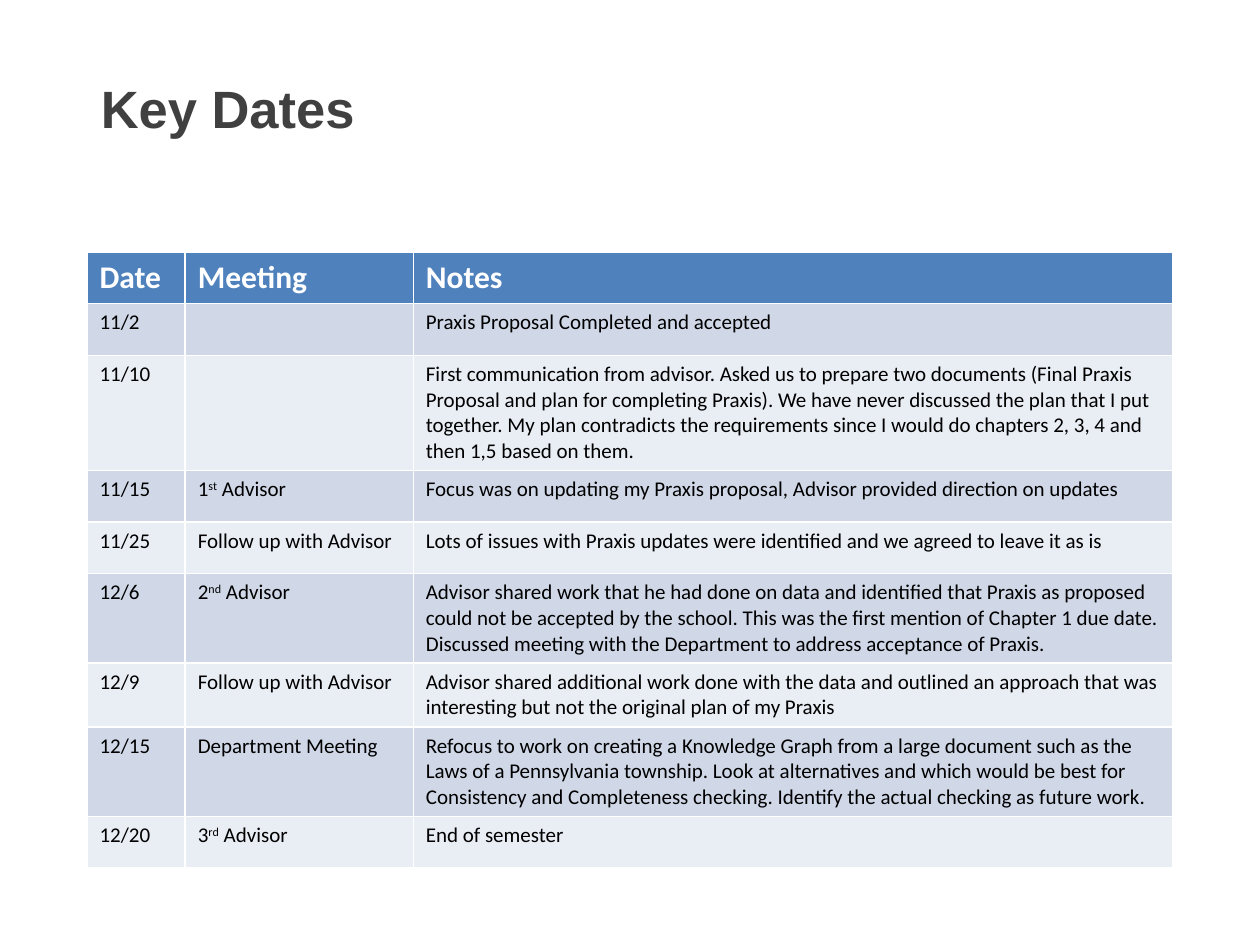
from pptx import Presentation
from pptx.dml.color import RGBColor
from pptx.enum.text import MSO_ANCHOR, PP_ALIGN
from pptx.util import Inches, Pt

# Content: a part between carets is raised
TITLE = "Key Dates"
HEADINGS = ("Date", "Meeting", "Notes")
MEETINGS = [
    ("11/2", "", "Praxis Proposal Completed and accepted"),
    ("11/10", "",
     "First communication from advisor. Asked us to prepare two documents "
     "(Final Praxis Proposal and plan for completing Praxis). We have never "
     "discussed the plan that I put together. My plan contradicts the "
     "requirements since I would do chapters 2, 3, 4 and then 1,5 based on them."),
    ("11/15", "1^st^ Advisor",
     "Focus was on updating my Praxis proposal, Advisor provided direction on updates"),
    ("11/25", "Follow up with Advisor",
     "Lots of issues with Praxis updates were identified and we agreed to leave it as is"),
    ("12/6", "2^nd^ Advisor",
     "Advisor shared work that he had done on data and identified that Praxis as "
     "proposed could not be accepted by the school. This was the first mention of "
     "Chapter 1 due date. Discussed meeting with the Department to address "
     "acceptance of Praxis."),
    ("12/9", "Follow up with Advisor",
     "Advisor shared additional work done with the data and outlined an approach "
     "that was interesting but not the original plan of my Praxis"),
    ("12/15", "Department Meeting",
     "Refocus to work on creating a Knowledge Graph from a large document such as "
     "the Laws of a Pennsylvania township. Look at alternatives and which would be "
     "best for Consistency and Completeness checking. Identify the actual checking "
     "as future work."),
    ("12/20", "3^rd^ Advisor", "End of semester"),
]
COLUMN_WIDTHS = (0.78, 1.81, 6.03)
ROW_HEIGHT = 0.41
HEADER_FILL = "4F81BD"
BAND_FILLS = ("D0D8E8", "E9EDF4")


def color(value):
    return RGBColor.from_string(value)


def set_font(font, name, size, value, bold):
    font.name, font.size, font.bold = name, Pt(size), bold
    font.color.rgb = color(value)


def fill_cell(cell, text, fill, size, value, bold):
    cell.fill.solid()
    cell.fill.fore_color.rgb = color(fill)
    para = cell.text_frame.paragraphs[0]
    for index, part in enumerate(text.split("^") if text else []):
        span = para.add_run()
        span.text = part
        if index % 2:
            span.font._element.set("baseline", "30000")
    set_font(para.font, "Calibri", size, value, bold)


deck = Presentation()
deck.slide_width, deck.slide_height = Inches(10), Inches(7.5)
page = deck.slides.add_slide(deck.slide_layouts[5])

# Title
title = page.shapes.title
title.left, title.top = Inches(0.7), Inches(0.55)
title.width, title.height = Inches(8.61), Inches(1.15)
title.text_frame.text = TITLE
title.text_frame.vertical_anchor = MSO_ANCHOR.TOP
heading = title.text_frame.paragraphs[0]
heading.alignment = PP_ALIGN.LEFT
set_font(heading.font, "Arial", 30, "404040", True)

# Table of dates
rows = [HEADINGS] + MEETINGS
table = page.shapes.add_table(
    len(rows), len(HEADINGS), Inches(0.69), Inches(2),
    Inches(sum(COLUMN_WIDTHS)), Inches(ROW_HEIGHT * len(rows))).table
for column, width in zip(table.columns, COLUMN_WIDTHS):
    column.width = Inches(width)
for row_index, texts in enumerate(rows):
    table.rows[row_index].height = Inches(ROW_HEIGHT)
    if row_index == 0:
        look = (HEADER_FILL, 18, "FFFFFF", True)
    else:
        look = (BAND_FILLS[(row_index - 1) % 2], 12, "000000", False)
    for column_index, text in enumerate(texts):
        fill_cell(table.cell(row_index, column_index), text, *look)

deck.save("out.pptx")
